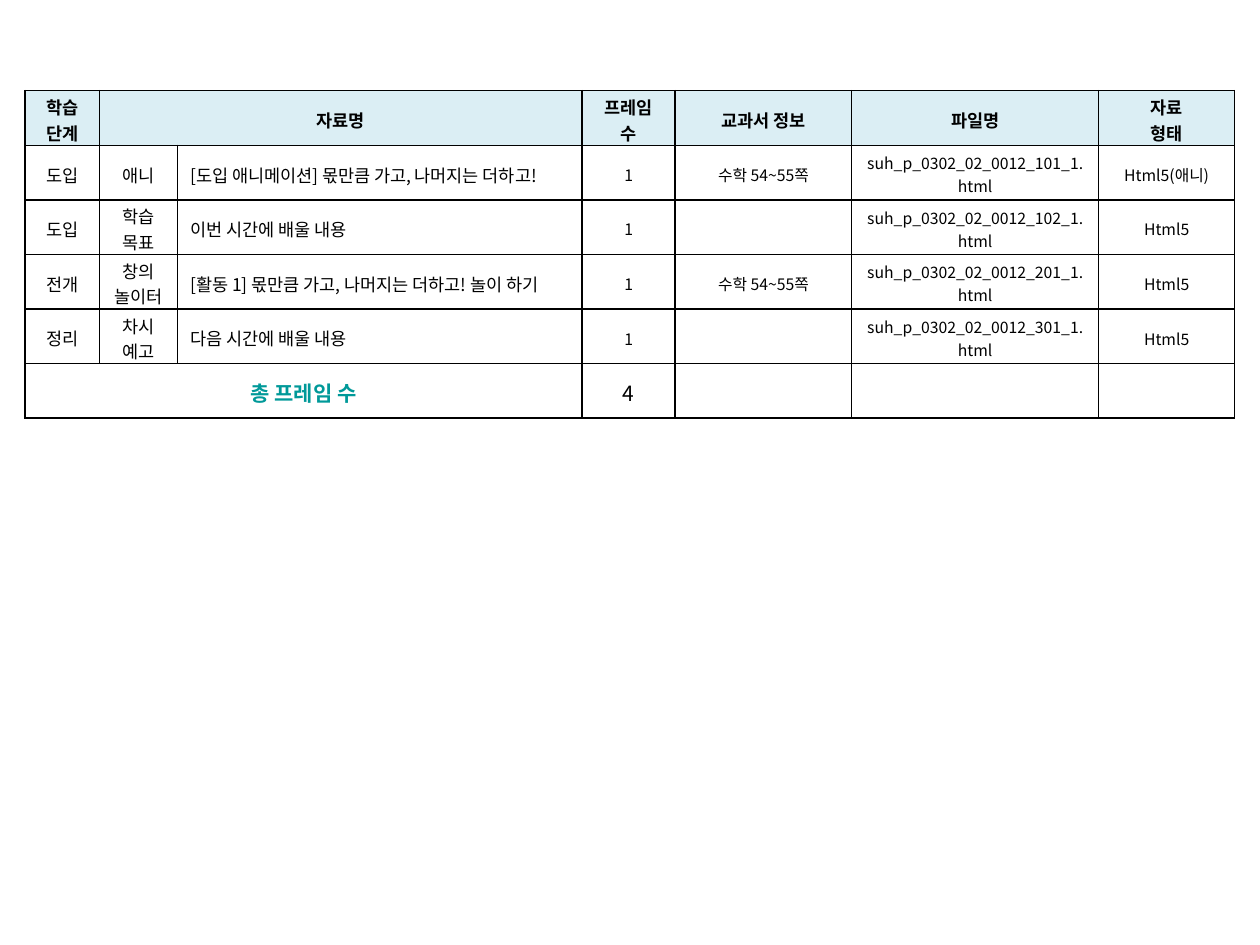
from dataclasses import dataclass

from lxml import etree
from pptx import Presentation
from pptx import util as u
from pptx.dml import color
from pptx.enum import text
from pptx.oxml import ns


@dataclass(frozen=True)
class Theme:
    font: str = "Noto Sans CJK KR"
    ink: str = "000000"
    teal: str = "009999"
    head: str = "DBEEF4"
    body: int = 10
    small: int = 9
    total: int = 12


THEME = Theme()
COLS = (0.59, 0.62, 3.21, 0.74, 1.4, 1.96, 1.08)
LEFT, TOP, HIGH = 0.2, 0.72, 2.6
TITLE_COL, SMALL_COL = 2, 3
HEADS = ("학습 단계", "자료명", "", "프레임 수", "교과서 정보", "파일명", "자료\n형태")
PAGES = "수학 54~55쪽"
STEPS = (
    ("도입", "애니", "[도입 애니메이션] 몫만큼 가고, 나머지는 더하고!", PAGES, 101, "Html5(애니)"),
    ("도입", "학습 목표", "이번 시간에 배울 내용", "", 102, "Html5"),
    ("전개", "창의\n놀이터", "[활동 1] 몫만큼 가고, 나머지는 더하고! 놀이 하기", PAGES, 201, "Html5"),
    ("정리", "차시 예고", "다음 시간에 배울 내용", "", 301, "Html5"),
)


def edge(cell):
    props = cell._tc.get_or_add_tcPr()
    for side in ("lnL", "lnR", "lnT", "lnB"):
        line = etree.SubElement(props, ns.qn(f"a:{side}"), w=str(u.Pt(1)))
        fill = etree.SubElement(line, ns.qn("a:solidFill"))
        etree.SubElement(fill, ns.qn("a:srgbClr"), val=THEME.ink)


def style(run, size, tint, bold):
    font = run.font
    font.name = THEME.font
    font.size = u.Pt(size)
    font.bold = bold
    font.color.rgb = color.RGBColor.from_string(tint)
    east = etree.Element(ns.qn("a:ea"), typeface=THEME.font)
    run._r.rPr.find(ns.qn("a:latin")).addnext(east)


def write(cell, words, size, tint=THEME.ink, bold=False, align=text.PP_ALIGN.CENTER):
    cell.text_frame.text = words
    for para in cell.text_frame.paragraphs:
        para.alignment = align
        for run in para.runs:
            style(run, size, tint, bold)


def frame(cell, head):
    cell.vertical_anchor = text.MSO_ANCHOR.MIDDLE
    cell.margin_top, cell.margin_bottom = u.Inches(0.03), 0
    edge(cell)
    if head:
        cell.fill.solid()
        cell.fill.fore_color.rgb = color.RGBColor.from_string(THEME.head)
    else:
        cell.fill.background()


def make_grid(slide):
    count = len(STEPS) + 2
    grid = slide.shapes.add_table(
        count, len(COLS), u.Inches(LEFT), u.Inches(TOP),
        u.Inches(sum(COLS)), u.Inches(HIGH)).table
    grid.first_row = grid.horz_banding = False
    for col, wide in zip(grid.columns, COLS):
        col.width = u.Inches(wide)
    for index, row in enumerate(grid.rows):
        row.height = u.Inches(HIGH / count)
        for cell in row.cells:
            frame(cell, index == 0)
    return grid


def fill_head(grid):
    for col, words in enumerate(HEADS):
        if words:
            write(grid.cell(0, col), words, THEME.body, bold=True)
    grid.cell(0, 1).merge(grid.cell(0, 2))


def fill_steps(grid):
    for row, (stage, part, title, pages, code, form) in enumerate(STEPS, 1):
        name = f"suh_p_0302_02_0012_{code}_1.html"
        for col, words in enumerate((stage, part, title, "1", pages, name, form)):
            if words:
                size = THEME.small if col >= SMALL_COL else THEME.body
                align = text.PP_ALIGN.LEFT if col == TITLE_COL else text.PP_ALIGN.CENTER
                write(grid.cell(row, col), words, size, align=align)


def fill_total(grid):
    last = len(STEPS) + 1
    write(grid.cell(last, 0), "총 프레임 수", THEME.total, THEME.teal, True)
    grid.cell(last, 0).merge(grid.cell(last, 2))
    write(grid.cell(last, 3), str(len(STEPS)), THEME.total)


def main():
    deck = Presentation()
    deck.slide_width, deck.slide_height = u.Inches(10), u.Inches(7.5)
    slide = deck.slides.add_slide(deck.slide_layouts[6])
    grid = make_grid(slide)
    fill_head(grid)
    fill_steps(grid)
    fill_total(grid)
    deck.save("out.pptx")


if __name__ == "__main__":
    main()
